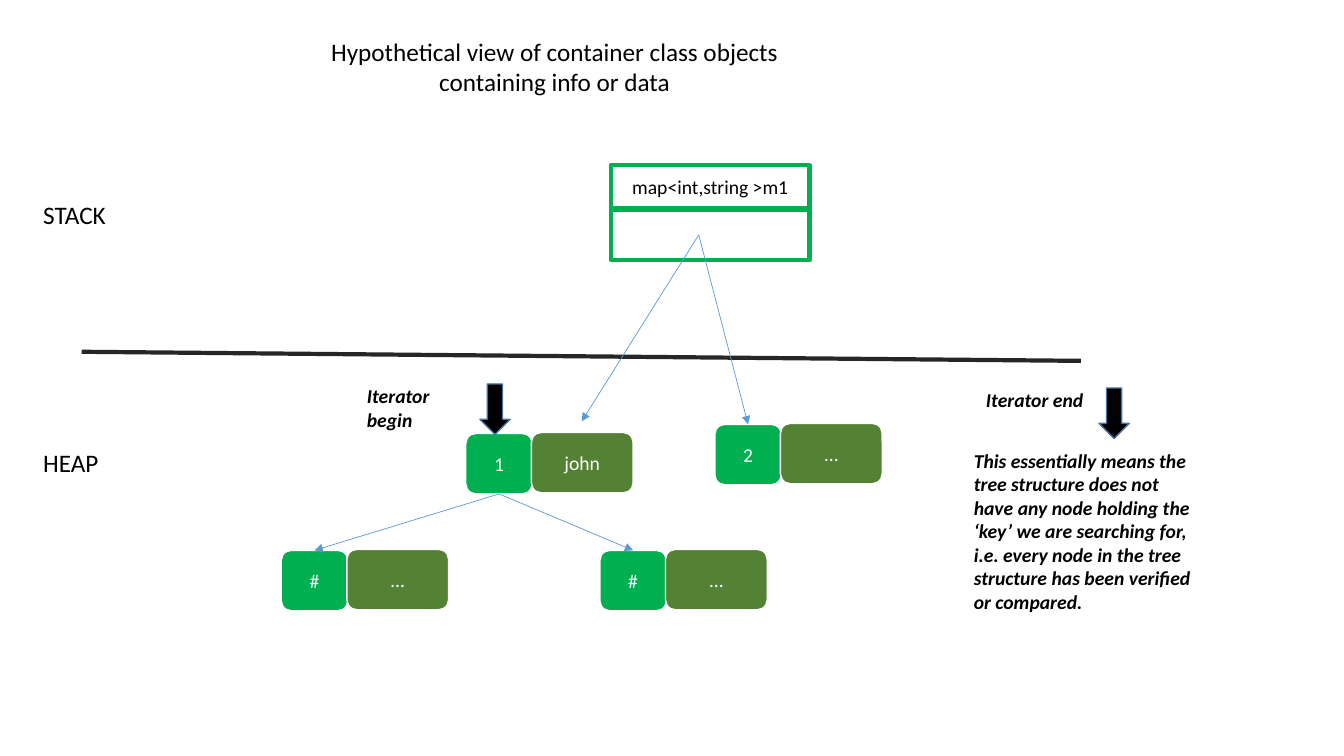
from dataclasses import dataclass
from typing import NamedTuple, Optional

from lxml import etree
from pptx import Presentation
from pptx import util as u
from pptx.dml.color import RGBColor
from pptx.enum import shapes, text
from pptx.oxml.ns import qn


@dataclass(frozen=True)
class Theme:
    font: str = "Calibri"
    heading: int = 18
    label: int = 14
    black: str = "000000"
    white: str = "FFFFFF"
    green: str = "00B050"
    olive: str = "548235"
    divider: str = "262626"
    link: str = "5B9BD5"
    marker_edge: str = "43739E"
    thick: float = 3
    thin: float = 1
    hairline: float = 0.5


class Area(NamedTuple):
    column: float
    row: float
    columns: float
    rows: float


class Point(NamedTuple):
    column: float
    row: float


class Label(NamedTuple):
    words: str
    area: Area
    size: int
    emphasis: bool = False
    align: text.PP_ALIGN = text.PP_ALIGN.LEFT


class Node(NamedTuple):
    key: str
    value: str
    corner: Point


THEME = Theme()
COLUMNS, ROWS = 13.33, 7.5
WIDTH, HEIGHT = u.Inches(13.33), u.Inches(7.5)
KEY_WIDTH, VALUE_WIDTH, NODE_HEIGHT = 0.66, 1.01, 0.6
VALUE_SHIFT = Point(0.65, -0.01)
MAP_POINTER = Point(6.93, 2.33)

LABELS = [
    Label("Hypothetical view of container class objects containing info or data",
          Area(3.12, 0.31, 4.76, 0.71), THEME.heading, align=text.PP_ALIGN.CENTER),
    Label("STACK", Area(0.33, 1.93, 1.4, 0.4), THEME.heading),
    Label("HEAP", Area(0.33, 4.39, 0.96, 0.42), THEME.heading),
    Label("Iterator begin", Area(3.54, 3.76, 1.18, 0.57), THEME.label, True),
    Label("Iterator end", Area(9.68, 3.8, 1.18, 0.34), THEME.label, True),
    Label("This essentially means the tree structure does not have any node holding "
          "the ‘key’ we are searching for, i.e. every node in the tree structure has "
          "been verified or compared.",
          Area(9.56, 4.4, 2.41, 1.75), THEME.label, True),
]
MAP_CELLS = [
    ("map<int,string >m1", Area(6.06, 1.64, 1.97, 0.42)),
    ("", Area(6.06, 2.08, 1.97, 0.5)),
]
NODES = [
    Node("1", "john", Point(4.62, 4.3)),
    Node("2", "…", Point(7.09, 4.21)),
    Node("#", "…", Point(2.79, 5.46)),
    Node("#", "…", Point(5.95, 5.46)),
]
MARKERS = [Area(4.76, 3.81, 0.3, 0.5), Area(10.9, 3.85, 0.3, 0.5)]


def across(columns: float) -> int:
    return round(WIDTH * columns / COLUMNS)


def down(rows: float) -> int:
    return round(HEIGHT * rows / ROWS)


def place(area: Area) -> tuple:
    return across(area.column), down(area.row), across(area.columns), down(area.rows)


def write(frame, words: str, *, size: int, color: str, emphasis: bool = False,
          align: text.PP_ALIGN = text.PP_ALIGN.CENTER) -> None:
    frame.word_wrap = True
    para = frame.paragraphs[0]
    para.alignment = align
    span = para.add_run()
    span.text = words
    span.font.name = THEME.font
    span.font.size = u.Pt(size)
    span.font.color.rgb = RGBColor.from_string(color)
    if emphasis:
        span.font.bold = span.font.italic = True


def add_label(page, label: Label) -> None:
    box = page.shapes.add_textbox(*place(label.area))
    write(box.text_frame, label.words, size=label.size, color=THEME.black,
          emphasis=label.emphasis, align=label.align)
    box.text_frame.auto_size = text.MSO_AUTO_SIZE.SHAPE_TO_FIT_TEXT


def add_box(page, kind: shapes.MSO_SHAPE, area: Area, *, fill: str, edge: str,
            weight: float, words: str = "", color: str = THEME.white):
    box = page.shapes.add_shape(kind, *place(area))
    box.shadow.inherit = False
    box.fill.solid()
    box.fill.fore_color.rgb = RGBColor.from_string(fill)
    box.line.color.rgb = RGBColor.from_string(edge)
    box.line.width = u.Pt(weight)
    if words:
        box.text_frame.vertical_anchor = text.MSO_ANCHOR.MIDDLE
        write(box.text_frame, words, size=THEME.label, color=color)
    return box


def add_node(page, node: Node):
    column, row = node.corner
    key_area = Area(column, row, KEY_WIDTH, NODE_HEIGHT)
    value_area = Area(column + VALUE_SHIFT.column, row + VALUE_SHIFT.row,
                      VALUE_WIDTH, NODE_HEIGHT)
    key, _ = [
        add_box(page, shapes.MSO_SHAPE.ROUNDED_RECTANGLE, area, fill=fill,
                edge=THEME.white, weight=THEME.thin, words=words)
        for words, area, fill in ((node.key, key_area, THEME.green),
                                  (node.value, value_area, THEME.olive))
    ]
    return key


def add_line(page, start: Point, end: Point, *, color: str, weight: float,
             arrow: bool = False):
    line = page.shapes.add_connector(
        shapes.MSO_CONNECTOR.STRAIGHT, across(start.column), down(start.row),
        across(end.column), down(end.row))
    line.line.color.rgb = RGBColor.from_string(color)
    line.line.width = u.Pt(weight)
    if arrow:
        etree.SubElement(line.line._get_or_add_ln(), qn("a:tailEnd"), type="triangle")
    etree.SubElement(line._element.spPr, qn("a:effectLst"))
    return line


def add_link(page, start: Point, end: Point, *, parent: Optional[object] = None,
             child: Optional[object] = None) -> None:
    link = add_line(page, start, end, color=THEME.link, weight=THEME.hairline, arrow=True)
    if parent is not None:
        link.begin_connect(parent, 2)
    if child is not None:
        link.end_connect(child, 0)


def main() -> None:
    deck = Presentation()
    deck.slide_width, deck.slide_height = WIDTH, HEIGHT
    page = deck.slides.add_slide(deck.slide_layouts[6])
    for label in LABELS:
        add_label(page, label)
    add_line(page, Point(0.81, 3.49), Point(10.72, 3.58),
             color=THEME.divider, weight=THEME.thick)
    for words, area in MAP_CELLS:
        add_box(page, shapes.MSO_SHAPE.RECTANGLE, area, fill=THEME.white,
                edge=THEME.green, weight=THEME.thick, words=words, color=THEME.black)
    first, second, *children = [add_node(page, node) for node in NODES]
    add_link(page, MAP_POINTER, Point(5.77, 4.18))
    add_link(page, MAP_POINTER, NODES[1].corner, child=second)
    for node, child in zip(NODES[2:], children):
        add_link(page, NODES[0].corner, node.corner, parent=first, child=child)
    for area in MARKERS:
        add_box(page, shapes.MSO_SHAPE.DOWN_ARROW, area, fill=THEME.black,
                edge=THEME.marker_edge, weight=THEME.thin)
    deck.save("out.pptx")


if __name__ == "__main__":
    main()
